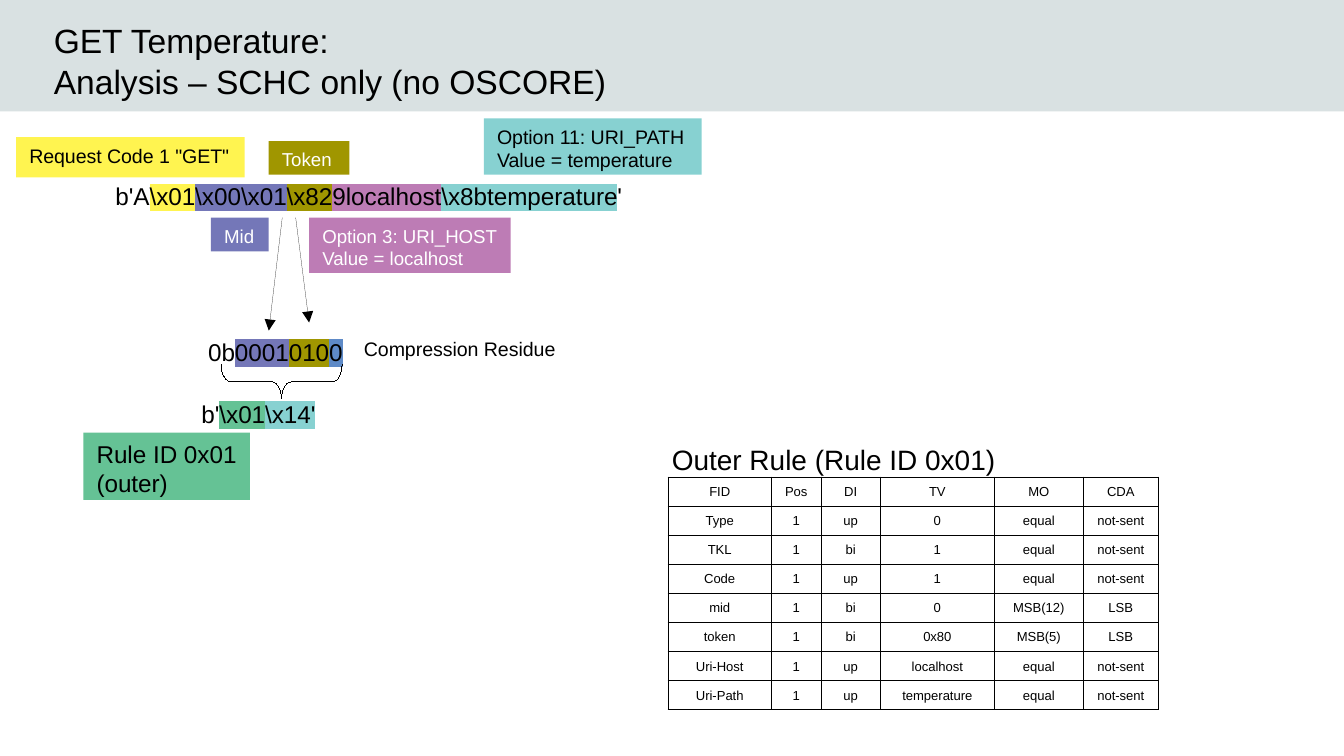
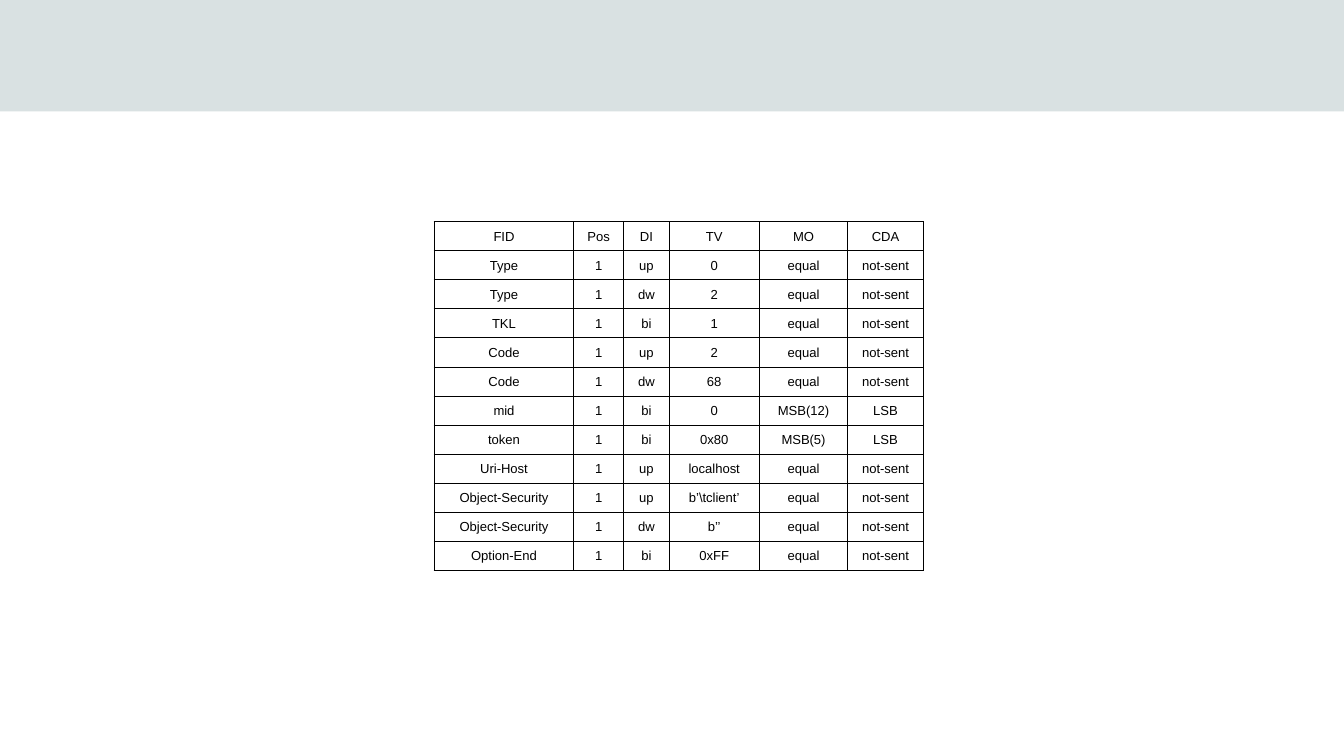
from lxml import etree
from pptx import Presentation
from pptx import util as u
from pptx.dml.color import RGBColor
from pptx.enum import shapes, text
from pptx.oxml import ns

PX = 9144  # EMU; 100 px to the inch
SLIDE_WIDTH = 1000
FONT = "Arial"
BLACK = RGBColor(0x00, 0x00, 0x00)
WHITE = RGBColor(0xFF, 0xFF, 0xFF)
BAND = RGBColor(0xD9, 0xE1, 0xE2)
YELLOW = RGBColor(0xFF, 0xF4, 0x50)
VIOLET = RGBColor(0x74, 0x77, 0xB8)
OLIVE = RGBColor(0xA0, 0x96, 0x00)
PINK = RGBColor(0xBD, 0x7C, 0xB5)
AQUA = RGBColor(0x87, 0xD1, 0xD1)
GREEN = RGBColor(0x65, 0xC2, 0x95)
BLUE = RGBColor(0x5E, 0x8A, 0xC7)

TITLE = ["GET Temperature:", "Analysis – SCHC only (no OSCORE)"]

# place, fill, text colour, size, lines
LABELS = [
    ((12, 102, 170, 30), YELLOW, BLACK, 10.5, ['Request Code 1 "GET"']),
    ((157, 162, 43, 25), VIOLET, WHITE, 10, ["Mid"]),
    ((200, 105, 60, 25), OLIVE, WHITE, 10, ["Token"]),
    ((230, 162, 150, 41), PINK, WHITE, 10,
     ["Option 3: URI_HOST", "Value = localhost"]),
    ((360, 88, 162, 42), AQUA, BLACK, 10.5,
     ["Option 11: URI_PATH", "Value = temperature"]),
    ((62, 322, 124, 50), GREEN, BLACK, 13, ["Rule ID 0x01", "(outer)"]),
]

# place, size, (wording, highlight) pieces
BYTE_LINES = [
    ((76, 130, 404, 32), 13, [
        ("b'A", None), (r"\x01", YELLOW), (r"\x00\x01", VIOLET),
        (r"\x82", OLIVE), ("9localhost", PINK),
        (r"\x8btemperature", AQUA), ("'", None)]),
    ((140, 292, 111, 30), 13, [
        ("b'", None), (r"\x01", GREEN), (r"\x14'", AQUA)]),
    ((145, 246, 120, 30), 13, [
        ("0b", None), ("0001", VIOLET), ("010", OLIVE), ("0", BLUE)]),
    ((261, 246, 170, 26), 10.5, [("Compression Residue", None)]),
    ((490, 324, 301, 33), 15, [("Outer Rule (Rule ID 0x01)", None)]),
]

ARROWS = [(220, 162, 230, 240), (210, 162, 200, 246)]
BRACE = (197, 239, 25, 90)

HEADER = ("FID", "Pos", "DI", "TV", "MO", "CDA")
GET_RULE = [
    HEADER,
    ("Type", "1", "up", "0", "equal", "not-sent"),
    ("TKL", "1", "bi", "1", "equal", "not-sent"),
    ("Code", "1", "up", "1", "equal", "not-sent"),
    ("mid", "1", "bi", "0", "MSB(12)", "LSB"),
    ("token", "1", "bi", "0x80", "MSB(5)", "LSB"),
    ("Uri-Host", "1", "up", "localhost", "equal", "not-sent"),
    ("Uri-Path", "1", "up", "temperature", "equal", "not-sent"),
]
OSCORE_RULE = [
    HEADER,
    ("Type", "1", "up", "0", "equal", "not-sent"),
    ("Type", "1", "dw", "2", "equal", "not-sent"),
    ("TKL", "1", "bi", "1", "equal", "not-sent"),
    ("Code", "1", "up", "2", "equal", "not-sent"),
    ("Code", "1", "dw", "68", "equal", "not-sent"),
    ("mid", "1", "bi", "0", "MSB(12)", "LSB"),
    ("token", "1", "bi", "0x80", "MSB(5)", "LSB"),
    ("Uri-Host", "1", "up", "localhost", "equal", "not-sent"),
    ("Object-Security", "1", "up", r"b’\tclient’", "equal", "not-sent"),
    ("Object-Security", "1", "dw", "b’’", "equal", "not-sent"),
    ("Option-End", "1", "bi", "0xFF", "equal", "not-sent"),
]


def emu(place):
    return [u.Emu(length * PX) for length in place]


def set_all(target, formats):
    for name, value in formats.items():
        setattr(target, name, value)


def add_run(paragraph, wording, size, color=BLACK, highlight=None):
    run = paragraph.add_run()
    run.text = wording
    set_all(run.font, {"name": FONT, "size": u.Pt(size)})
    run.font.color.rgb = color
    if highlight is not None:
        mark = etree.Element(ns.qn("a:highlight"))
        etree.SubElement(mark, ns.qn("a:srgbClr"), val=str(highlight))
        run.font._element.find(ns.qn("a:solidFill")).addnext(mark)


def write(frame, paragraphs, size, color=BLACK):
    """Fill a frame with paragraphs, each a list of (wording, highlight)."""
    set_all(frame, {
        "word_wrap": True, "auto_size": text.MSO_AUTO_SIZE.NONE,
        "vertical_anchor": text.MSO_ANCHOR.TOP,
        "margin_left": 10 * PX, "margin_right": 5 * PX,
        "margin_top": 5 * PX, "margin_bottom": 5 * PX})
    for index, pieces in enumerate(paragraphs):
        paragraph = frame.add_paragraph() if index else frame.paragraphs[0]
        paragraph.alignment = text.PP_ALIGN.LEFT
        for wording, highlight in pieces:
            add_run(paragraph, wording, size, color, highlight)


def plain(lines):
    return [[(line, None)] for line in lines]


def add_box(slide, place, fill):
    box = slide.shapes.add_shape(shapes.MSO_SHAPE.RECTANGLE, *emu(place))
    box.shadow.inherit = False
    box.fill.solid()
    box.fill.fore_color.rgb = fill
    box.line.fill.background()
    return box


def add_master_band(prs, slide):
    """Draw the title band, then move it behind everything on the master."""
    band = add_box(slide, (0, 0, SLIDE_WIDTH, 83), BAND)
    band.element.nvSpPr.cNvPr.set("id", "99")
    prs.slide_master.shapes.element.insert(2, band.element)


def set_hairline(line):
    """Give a line the thinnest width, written out as zero."""
    line.color.rgb = BLACK
    outline = line._get_or_add_ln()
    outline.set("w", "0")
    return outline


def add_arrow(slide, ends):
    arrow = slide.shapes.add_connector(
        shapes.MSO_CONNECTOR.STRAIGHT, *emu(ends))
    etree.SubElement(set_hairline(arrow.line), ns.qn("a:tailEnd"),
                     type="triangle")
    etree.SubElement(arrow.element.spPr, ns.qn("a:effectLst"))


def add_brace(slide):
    brace = slide.shapes.add_shape(
        shapes.MSO_SHAPE.RIGHT_BRACE, *emu(BRACE))
    brace.rotation = 90
    brace.adjustments[0] = 0.3
    brace.shadow.inherit = False
    brace.fill.background()
    set_hairline(brace.line)


def add_borders(cell):
    properties = cell._tc.get_or_add_tcPr()
    for index, side in enumerate(("lnL", "lnR", "lnT", "lnB")):
        border = etree.Element(ns.qn("a:" + side), w=str(u.Pt(0.57)))
        fill = etree.SubElement(border, ns.qn("a:solidFill"))
        etree.SubElement(fill, ns.qn("a:srgbClr"), val=str(BLACK))
        properties.insert(index, border)


def add_rule_table(slide, left, top, height, widths, rows):
    place = (left, top, sum(widths), height)
    table = slide.shapes.add_table(
        len(rows), len(widths), *emu(place)).table
    set_all(table, {"first_row": False, "horz_banding": False})
    for column, width in zip(table.columns, widths):
        column.width = u.Emu(width * PX)
    for r, row in enumerate(rows):
        table.rows[r].height = u.Emu(height * PX // len(rows))
        for c, wording in enumerate(row):
            cell = table.cell(r, c)
            cell.vertical_anchor = text.MSO_ANCHOR.MIDDLE
            cell.fill.background()
            add_borders(cell)
            paragraph = cell.text_frame.paragraphs[0]
            set_all(paragraph, {"alignment": text.PP_ALIGN.CENTER,
                                "line_spacing": 1.07})
            add_run(paragraph, wording, 7)


def build_analysis(prs):
    slide = prs.slides.add_slide(prs.slide_layouts[5])
    add_master_band(prs, slide)
    title = slide.shapes.title
    set_all(title, dict(zip(("left", "top", "width", "height"),
                            emu((30, 10, 840, 94)))))
    write(title.text_frame, plain(TITLE), 18)
    for place, size, pieces in BYTE_LINES:
        line = slide.shapes.add_textbox(*emu(place))
        write(line.text_frame, [pieces], size)
    for place, fill, color, size, lines in LABELS:
        label = add_box(slide, place, fill)
        write(label.text_frame, plain(lines), size, color)
    add_brace(slide)
    for ends in ARROWS:
        add_arrow(slide, ends)
    add_rule_table(slide, 497, 355, 169, (77, 37, 44, 85, 66, 56), GET_RULE)


def build_oscore_rule(prs):
    slide = prs.slides.add_slide(prs.slide_layouts[6])
    add_rule_table(slide, 323, 165, 253, (104, 37, 34, 67, 66, 56),
                   OSCORE_RULE)


def main():
    prs = Presentation()
    prs.slide_width = u.Emu(SLIDE_WIDTH * PX)
    prs.slide_height = u.Emu(SLIDE_WIDTH * PX * 9 // 16)
    build_analysis(prs)
    build_oscore_rule(prs)
    prs.save("out.pptx")


if __name__ == "__main__":
    main()
